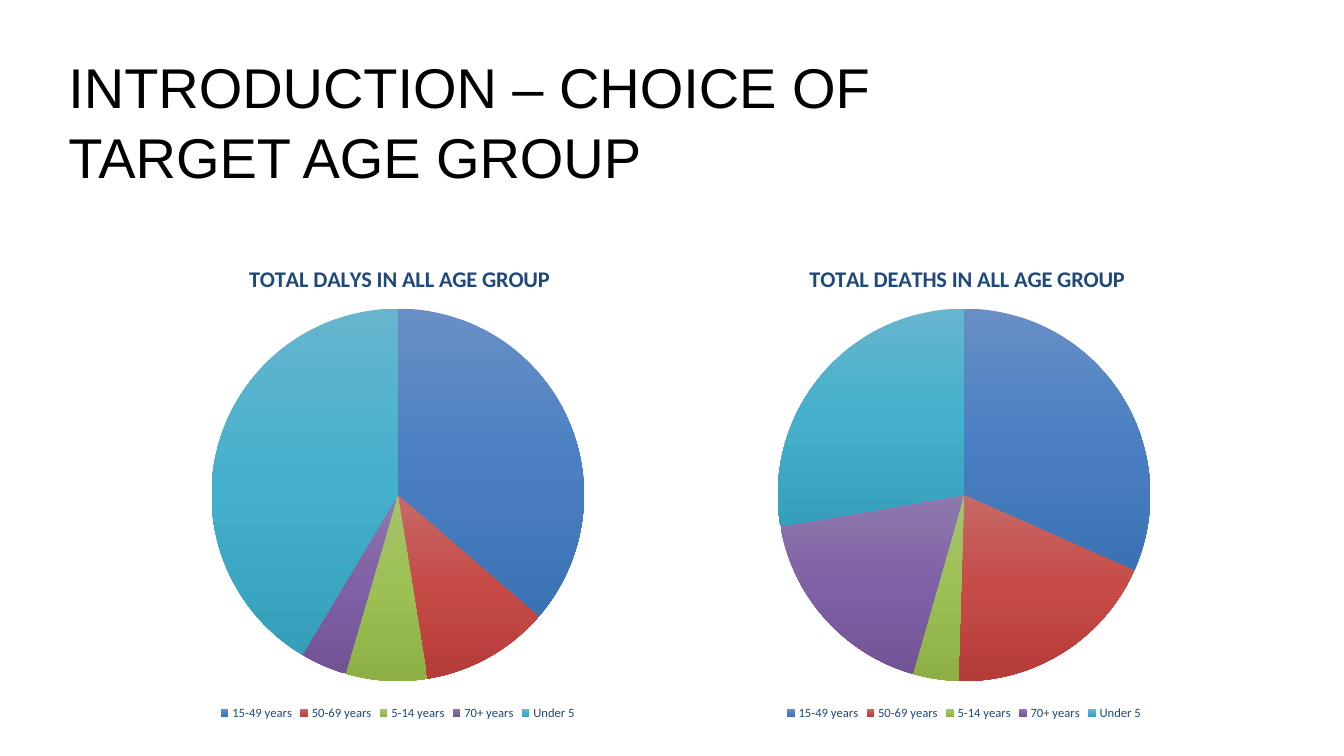
"""Build a slide comparing DALYs and deaths by age group in two pie charts."""
from copy import deepcopy
from dataclasses import dataclass

from pptx import Presentation
from pptx.chart.data import CategoryChartData
from pptx.dml.color import RGBColor
from pptx.enum.chart import XL_CHART_TYPE, XL_LEGEND_POSITION
from pptx.enum.text import MSO_ANCHOR, PP_ALIGN
from pptx.oxml import parse_xml
from pptx.oxml.ns import nsdecls
from pptx.util import Cm, Pt


@dataclass(frozen=True)
class Theme:
    heading_font: str = "Arial"
    chart_font: str = "Calibri"
    black: str = "000000"
    navy: str = "1F497D"
    heading_size: int = 40
    chart_title_size: int = 16
    chart_size: int = 10
    legend_size: int = 9
    slices: tuple = (
        ("688FC5", "4A80C3", "3B72B3"),
        ("C76967", "C64B47", "B63C39"),
        ("A6C36F", "9DC054", "8DB045"),
        ("8E78AC", "8061A5", "715396"),
        ("66B5CD", "45B0CC", "36A0BC"),
    )


def write_text(frame, text, *, font, size, color, bold=False, align=PP_ALIGN.LEFT, spacing=1.0):
    para = frame.paragraphs[0]
    para.alignment = align
    para.line_spacing = spacing
    span = para.add_run()
    span.text = text
    span.font.name = font
    span.font.size = Pt(size)
    span.font.bold = bold
    span.font.color.rgb = RGBColor.from_string(color)


def place_part(part, before, target="", **fractions):
    for layout in part.xpath("c:layout"):
        part.remove(layout)
    inner = f'<c:layoutTarget val="{target}"/>' if target else ""
    modes = "".join(f'<c:{side}Mode val="edge"/>' for side in "xy")
    sizes = "".join(f'<c:{side} val="{value}"/>' for side, value in fractions.items())
    part.xpath(before)[0].addprevious(parse_xml(
        f'<c:layout {nsdecls("c")}><c:manualLayout>{inner}{modes}{sizes}</c:manualLayout></c:layout>'))


theme = Theme()
deck = Presentation()
deck.slide_width, deck.slide_height = Cm(33.87), Cm(19.05)
page = deck.slides.add_slide(deck.slide_layouts[5])

heading = page.shapes.title
heading.left, heading.top, heading.width, heading.height = Cm(1.47), Cm(1.14), Cm(24.18), Cm(2.74)
heading.text_frame.word_wrap = True
heading.text_frame.vertical_anchor = MSO_ANCHOR.TOP
write_text(heading.text_frame, "INTRODUCTION – CHOICE OF TARGET AGE GROUP", font=theme.heading_font,
           size=theme.heading_size, color=theme.black, spacing=1.04)

age_groups = ("15-49 years", "50-69 years", "5-14 years", "70+ years", "Under 5")
pies = (
    ("TOTAL DALYS IN ALL AGE GROUP", 2.62, 0.24, (36, 11, 7, 4, 41)),
    ("TOTAL DEATHS IN ALL AGE GROUP", 16.89, 0.23, (32, 19, 4, 18, 28)),
)
for title, left, title_left, shares in pies:
    pie_data = CategoryChartData()
    pie_data.categories = age_groups
    pie_data.add_series("Series 1", shares)
    chart = page.shapes.add_chart(XL_CHART_TYPE.PIE, Cm(left), Cm(6.07), Cm(14.81), Cm(12.19), pie_data).chart
    chart.font.name = theme.chart_font
    chart.font.size = Pt(theme.chart_size)
    chart.font.color.rgb = RGBColor.from_string(theme.black)

    chart.has_title = True
    write_text(chart.chart_title.text_frame, title, font=theme.chart_font, size=theme.chart_title_size,
               color=theme.navy, bold=True, align=PP_ALIGN.CENTER)
    place_part(chart.chart_title.element, "c:overlay", x=title_left, y=0.04)
    place_part(chart.element.xpath("c:chart/c:plotArea")[0], "c:pieChart", "inner",
               x=0.18, y=0.14, w=0.64, h=0.77)

    chart.has_legend = True
    chart.legend.position = XL_LEGEND_POSITION.BOTTOM
    chart.legend.include_in_layout = False
    chart.legend.font.name = theme.chart_font
    chart.legend.font.size = Pt(theme.legend_size)
    chart.legend.font.color.rgb = RGBColor.from_string(theme.navy)

    chart.plots[0].vary_by_categories = True
    series = chart.plots[0].series[0]
    for index, shades in enumerate(theme.slices):
        look = series.points[index].format
        look.fill.gradient()
        look.fill.gradient_angle = 270
        stop_list = chart.element.xpath(".//c:dPt//a:gsLst")[-1]
        stop_list.insert(1, deepcopy(stop_list[0]))
        for stop, position, shade in zip(look.fill.gradient_stops, (0, 0.5, 1), shades):
            stop.position = position
            stop.color.rgb = RGBColor.from_string(shade)
        look.line.fill.background()

deck.save("out.pptx")
